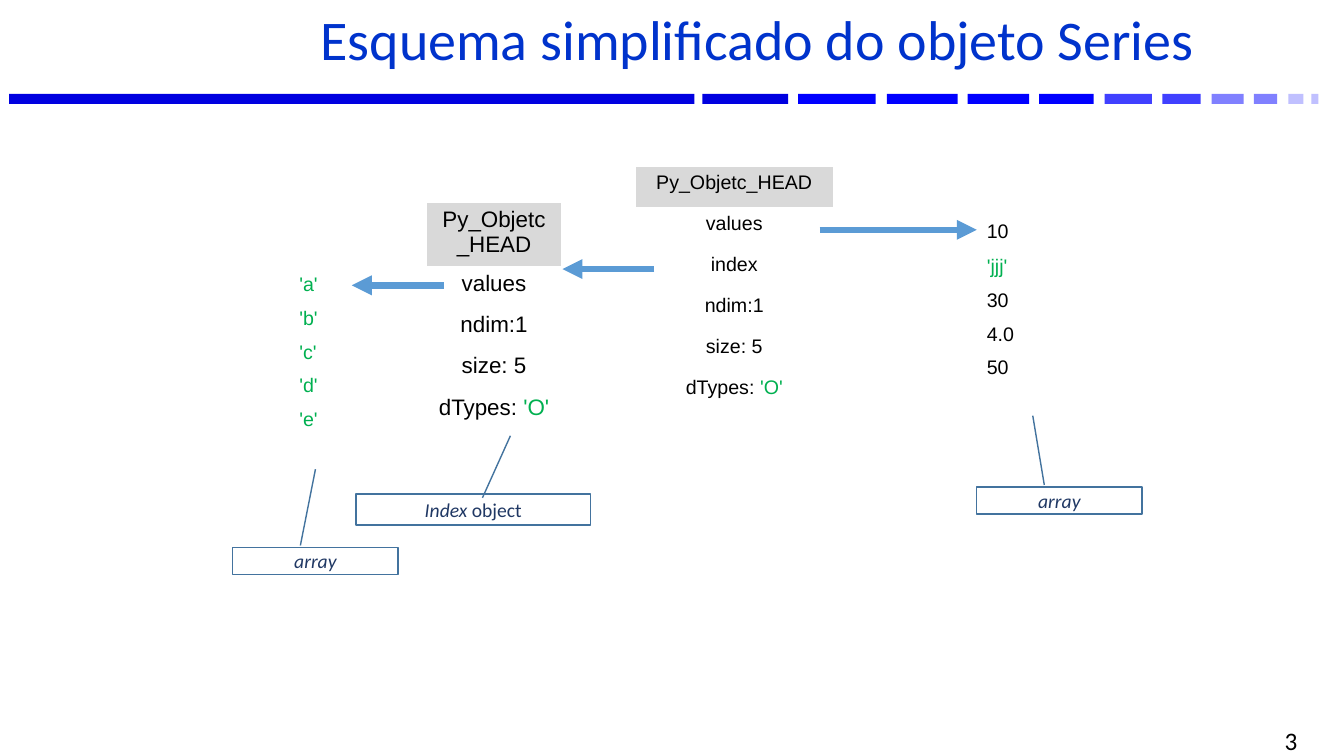
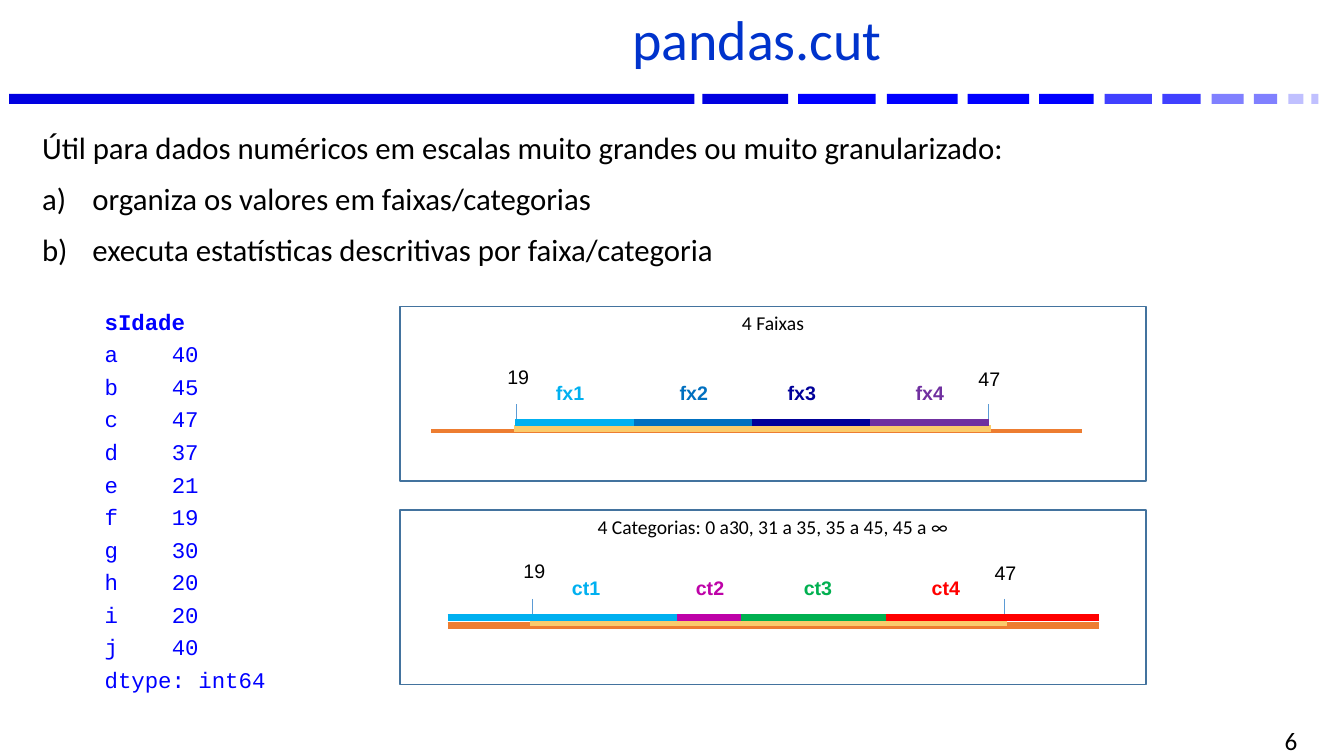
from lxml.etree import SubElement
from pptx import Presentation
from pptx.dml.color import RGBColor
from pptx.enum.shapes import MSO_CONNECTOR, MSO_SHAPE
from pptx.enum.text import MSO_ANCHOR, PP_ALIGN
from pptx.oxml.ns import qn
from pptx.util import Pt

COLORS = {
    "black": "000000", "white": "FFFFFF", "title": "0033CC", "head": "D9D9D9",
    "string": "00B050", "arrow": "5B9BD5", "outline": "43739E", "callout": "203864",
    "code": "0000FF", "axis": "ED7D31", "range": "FBCB6B", "sky": "00B0F0",
    "blue": "0070C0", "navy": "000099", "purple": "7030A0", "magenta": "BE02A8",
    "red": "FF0000", "band1": "0000E0", "band2": "0000FF", "band3": "4040FF",
    "band4": "8080FF", "band5": "C0C0FF",
}
BANDS = [
    (6.5, 489.6, "band1"), (501.8, 61.2, "band1"), (570.2, 55.4, "band2"),
    (633.6, 50.4, "band2"), (691.2, 43.9, "band2"), (742.3, 38.9, "band2"),
    (789.1, 33.8, "band3"), (830.2, 27.4, "band3"), (865.4, 23, "band4"),
    (895.7, 16.6, "band4"), (920.2, 10.8, "band5"), (936.7, 5, "band5"),
]
BAND_TOP, BAND_HEIGHT = 67, 7.2

OBJECT_TYPE = [("dTypes: ", {}), ("'O'", {"color": "string"})]


def plain(*words):
    return [[(word, {})] for word in words]


def strings(*words):
    return [[(word, {"color": "string"})] for word in words]


HEAD = "Py_Objetc_HEAD"
STRUCTURES = [
    {"at": (453.6, 118.8), "width": 141.8, "size": 14, "heights": [29.4] * 6, "head": True,
     "rows": plain(HEAD, "values", "index", "ndim:1", "size: 5") + [OBJECT_TYPE]},
    {"at": (304.6, 144.7), "width": 96.5, "size": 16, "heights": [43] + [29.4] * 4, "head": True,
     "rows": plain(HEAD, "values", "ndim:1", "size: 5") + [OBJECT_TYPE]},
    {"at": (697.7, 154.1), "width": 41.8, "size": 14, "heights": [25.2] + [23.3] * 4, "head": False,
     "rows": plain("10") + strings("'jjj'") + plain("30", "4.0", "50")},
    {"at": (206.6, 192.2), "width": 41.8, "size": 14, "heights": [23.3] * 5, "head": False,
     "rows": strings("'a'", "'b'", "'c'", "'d'", "'e'")},
]
POINTERS = [(585.4, 697.7, 164.2), (467.3, 401.8, 192.2), (316.8, 251.3, 203.8)]
ARRAY = [("array", {"italic": True})]
CALLOUTS = [
    ((697.7, 347.8, 118.1, 19.4), (-0.071, 0.409, -2.623, 0.339), ARRAY),
    ((254.2, 352.8, 167.8, 22.3), (0.125, 0.539, -1.863, 0.658),
     [("Index ", {"italic": True}), ("object", {})]),
    ((166.3, 391, 118.1, 19.4), (-0.071, 0.409, -2.881, 0.5), ARRAY),
]

INTRO = "Útil para dados numéricos em escalas muito grandes ou muito granularizado:"
USES = ["organiza os valores em faixas/categorias",
        "executa estatísticas descritivas por faixa/categoria"]
AGES = {"a": 40, "b": 45, "c": 47, "d": 37, "e": 21, "f": 19, "g": 30, "h": 20, "i": 20, "j": 40}

AXIS_LENGTH = 465
LIMITS = [("19", 60.5, 62, 0), ("47", 398, 398.5, 1.4)]
TAG_CENTERS = [99, 187.5, 264.6, 356]
TAG_WIDTH, TAG_HEIGHT = 45.4, 24.5
PANELS = [
    {"title": "4 Faixas", "top": 218.9, "scale": (308.2, 257), "axis_weight": 2.75,
     "tags": ["fx1", "fx2", "fx3", "fx4"], "colors": ["sky", "blue", "navy", "purple"],
     "edges": [60 + 84.5 * i for i in range(5)]},
    {"title": "4 Categorias: 0 a30, 31 a 35, 35 a 45, 45 a ∞", "top": 364.3,
     "scale": (319.7, 396), "axis_weight": 5.5,
     "tags": ["ct1", "ct2", "ct3", "ct4"], "colors": ["sky", "magenta", "string", "red"],
     "edges": [0, 164.2, 209.5, 313.2, AXIS_LENGTH]},
]


def rgb(name):
    return RGBColor.from_string(COLORS[name])


def add_runs(paragraph, runs, size, font, color="black", align=PP_ALIGN.LEFT):
    paragraph.alignment = align
    for text, look in runs:
        run = paragraph.add_run()
        run.text = text
        run.font.size = Pt(size)
        run.font.name = font
        run.font.bold = look.get("bold", False)
        run.font.italic = look.get("italic", False)
        run.font.color.rgb = rgb(look.get("color", color))


def next_paragraph(frame):
    first = frame.paragraphs[0]
    return frame.add_paragraph() if first.runs else first


def add_text(slide, at, anchor=MSO_ANCHOR.TOP):
    frame = slide.shapes.add_textbox(*map(Pt, at)).text_frame
    frame.word_wrap = True
    frame.vertical_anchor = anchor
    return frame


def add_box(slide, kind, at, fill=None, line=None):
    box = slide.shapes.add_shape(kind, *map(Pt, at))
    box.shadow.inherit = False
    if fill:
        box.fill.solid()
        box.fill.fore_color.rgb = rgb(fill)
    else:
        box.fill.background()
    if line:
        box.line.color.rgb = rgb(line)
        box.line.width = Pt(1)
    else:
        box.line.fill.background()
    box.text_frame.word_wrap = True
    return box


def add_line(slide, start, end, color, weight, arrow=False):
    line = slide.shapes.add_connector(MSO_CONNECTOR.STRAIGHT, *map(Pt, start + end))
    line.line.color.rgb = rgb(color)
    line.line.width = Pt(weight)
    if arrow:
        SubElement(line.line._get_or_add_ln(), qn("a:tailEnd"), type="triangle")
    SubElement(line._element.spPr, qn("a:effectLst"))


def add_page(deck, title, number):
    slide = deck.slides.add_slide(deck.slide_layouts[6])
    for left, width, color in BANDS:
        add_box(slide, MSO_SHAPE.RECTANGLE, (left, BAND_TOP, width, BAND_HEIGHT), color)
    heading = add_text(slide, (139.7, 4.3, 802.1, 55.4), MSO_ANCHOR.MIDDLE).paragraphs[0]
    heading.line_spacing = 0.8
    heading.space_before = Pt(6)
    add_runs(heading, [(title, {})], 40, "Calibri", "title", PP_ALIGN.CENTER)
    footer = add_text(slide, (709.9, 520.6, 223.9, 15.8), MSO_ANCHOR.MIDDLE)
    add_runs(footer.paragraphs[0], [(str(number), {})], 18, "Calibri", align=PP_ALIGN.RIGHT)
    return slide


def add_structure(slide, structure):
    rows, heights = structure["rows"], structure["heights"]
    size = (structure["width"], sum(heights))
    table = slide.shapes.add_table(len(rows), 1, *map(Pt, structure["at"] + size)).table
    table.first_row = table.horz_banding = False
    align = PP_ALIGN.CENTER if structure["head"] else PP_ALIGN.LEFT
    for index, (runs, height) in enumerate(zip(rows, heights)):
        table.rows[index].height = Pt(height)
        cell = table.cell(index, 0)
        if structure["head"] and index == 0:
            cell.fill.solid()
            cell.fill.fore_color.rgb = rgb("head")
        else:
            cell.fill.background()
        add_runs(cell.text_frame.paragraphs[0], runs, structure["size"], "Arial", align=align)


def add_series_page(deck):
    slide = add_page(deck, "Esquema simplificado do objeto Series", 3)
    for structure in STRUCTURES:
        add_structure(slide, structure)
    for start, end, y in POINTERS:
        add_line(slide, (start, y), (end, y), "arrow", 4.75, arrow=True)
    for at, leader, runs in CALLOUTS:
        callout = add_box(slide, MSO_SHAPE.LINE_CALLOUT_1, at, line="outline")
        for index, value in enumerate(leader):
            callout.adjustments[index] = value
        frame = callout.text_frame
        frame.vertical_anchor = MSO_ANCHOR.MIDDLE
        add_runs(frame.paragraphs[0], runs, 14, "Calibri", "callout", PP_ALIGN.CENTER)


def add_intro(slide):
    frame = add_text(slide, (23, 88.6, 919.4, 110))
    for index, text in enumerate([INTRO] + USES):
        paragraph = next_paragraph(frame)
        paragraph.space_before = Pt(10)
        add_runs(paragraph, [(text, {})], 22, "Calibri", align=PP_ALIGN.JUSTIFY)
        if index:
            properties = paragraph._p.get_or_add_pPr()
            properties.set("marL", str(Pt(36)))
            properties.set("indent", str(-Pt(36)))
            SubElement(properties, qn("a:buFont"), typeface="+mj-lt")
            SubElement(properties, qn("a:buAutoNum"), type="alphaLcParenR")


def add_ages(slide):
    frame = add_text(slide, (67.7, 218.2, 161.3, 284.4))
    lines = ["sIdade"] + [f"{key}\t{age}" for key, age in AGES.items()] + ["dtype: int64"]
    for index, text in enumerate(lines):
        paragraph = next_paragraph(frame)
        paragraph.line_spacing = Pt(17.25)
        paragraph.space_before = Pt(6)
        add_runs(paragraph, [(text, {"bold": index == 0})], 16, "Courier New", "code")
        stops = SubElement(paragraph._p.get_or_add_pPr(), qn("a:tabLst"))
        SubElement(stops, qn("a:tab"), pos=str(Pt(48)), algn="l")


def add_tag(slide, center, top, text, color="black", bold=False):
    frame = add_text(slide, (center - TAG_WIDTH / 2, top, TAG_WIDTH, TAG_HEIGHT))
    add_runs(frame.paragraphs[0], [(text, {"bold": bold})], 14, "Arial", color, PP_ALIGN.CENTER)


def add_panel(slide, panel):
    frame = add_box(slide, MSO_SHAPE.RECTANGLE, (285.8, panel["top"], 532.8, 124.6),
                    "white", "outline").text_frame
    frame.vertical_anchor = MSO_ANCHOR.TOP
    add_runs(frame.paragraphs[0], [(panel["title"], {})], 14, "Calibri", align=PP_ALIGN.CENTER)
    left, top = panel["scale"]

    def level(start, end, y, color, weight):
        add_line(slide, (left + start, top + y), (left + end, top + y), color, weight)

    level(0, AXIS_LENGTH, 50.8, "axis", panel["axis_weight"])
    for text, tick, center, drop in LIMITS:
        add_line(slide, (left + tick, top + 31.7), (left + tick, top + 49), "arrow", 0.5)
        add_tag(slide, left + center, top + drop, text)
    level(59, 399.5, 49, "range", 5)
    edges = panel["edges"]
    for start, end, color in zip(edges, edges[1:], panel["colors"]):
        level(start, end, 45, color, 5)
    for center, text, color in zip(TAG_CENTERS, panel["tags"], panel["colors"]):
        add_tag(slide, left + center, top + 11.5, text, color, bold=True)


def add_cut_page(deck):
    slide = add_page(deck, "pandas.cut", 6)
    add_intro(slide)
    add_ages(slide)
    for panel in PANELS:
        add_panel(slide, panel)


def main():
    deck = Presentation()
    deck.slide_width, deck.slide_height = Pt(960), Pt(540)
    add_series_page(deck)
    add_cut_page(deck)
    deck.save("out.pptx")


if __name__ == "__main__":
    main()
